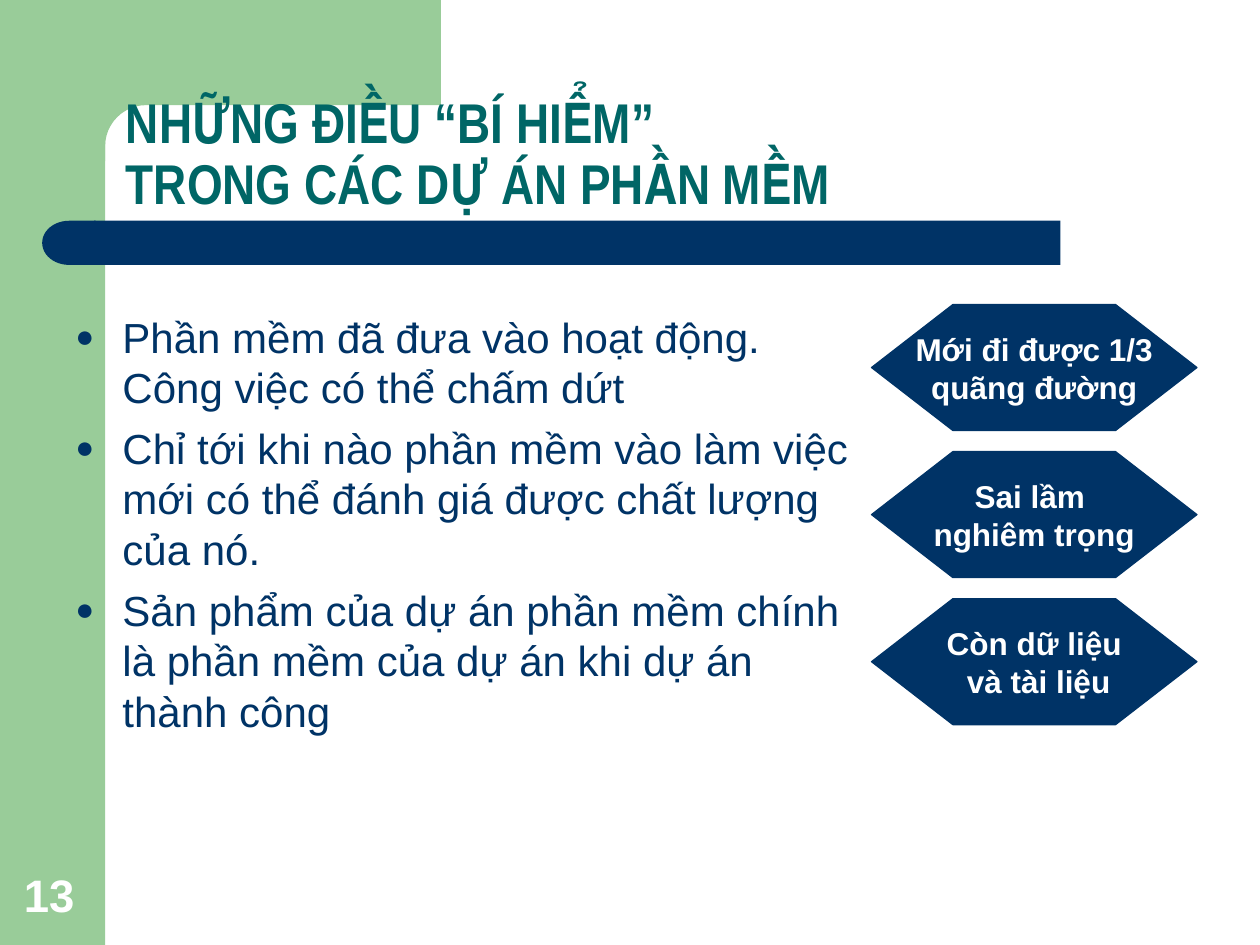
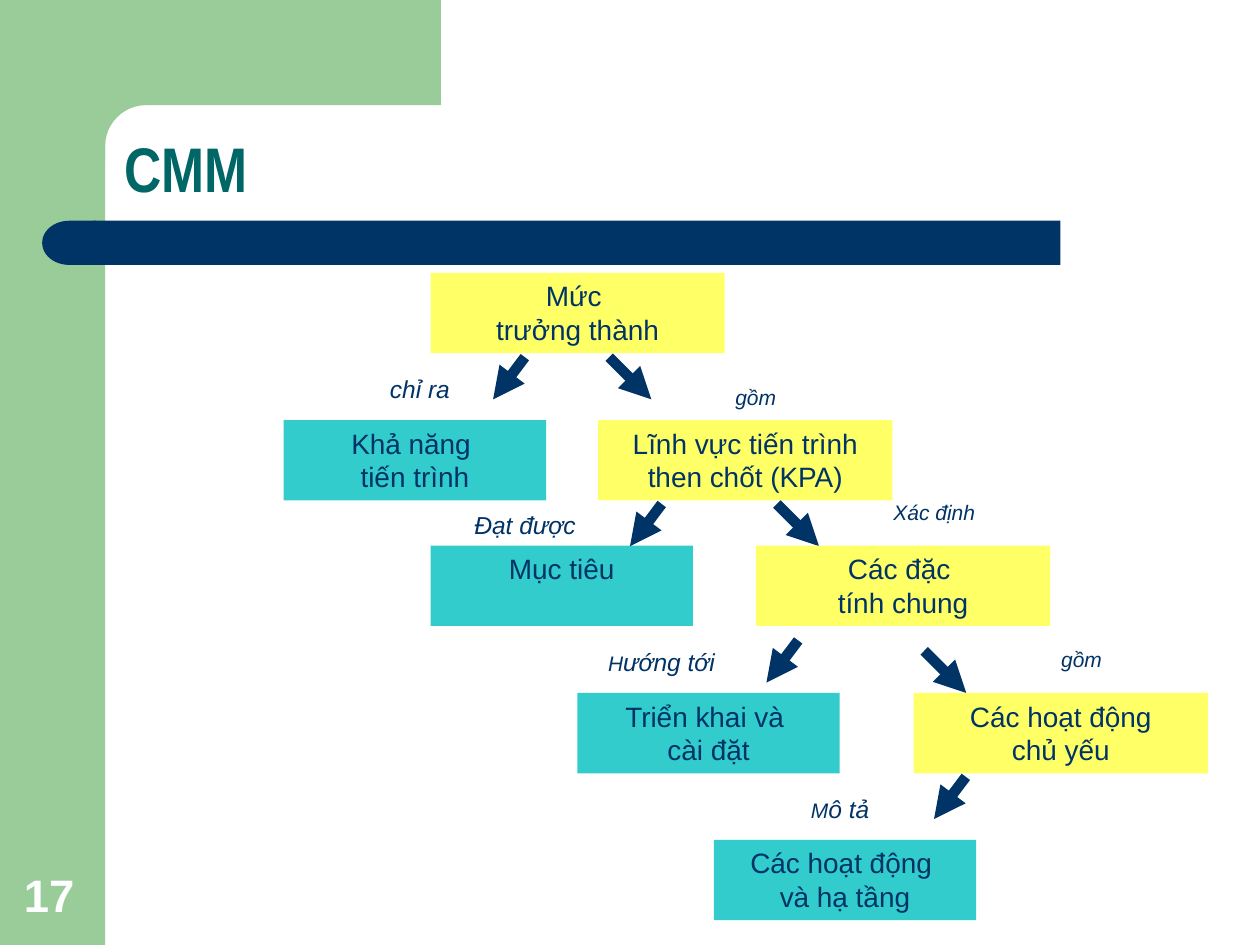
from copy import deepcopy
from math import cos, pi, sin
from typing import NamedTuple

from pptx import Presentation
from pptx.dml.color import RGBColor
from pptx.enum.shapes import MSO_CONNECTOR, MSO_SHAPE
from pptx.enum.text import MSO_ANCHOR, PP_ALIGN
from pptx.oxml.ns import qn
from pptx.util import Cm, Pt
from lxml.etree import SubElement

GREEN, NAVY, TEAL_TITLE = "99CC99", "003366", "006666"
YELLOW, TURQUOISE, WHITE = "FFFF66", "33CCCC", "FFFFFF"


class Box(NamedTuple):
    """Left, top, width and height in centimetres."""
    left: float
    top: float
    width: float
    height: float

    def lengths(self):
        return [Cm(value) for value in self]


class Level(NamedTuple):
    """A yellow stage and the turquoise outcome one row below it."""
    stage: str
    stage_left: float
    outcome: str
    outcome_left: float
    outcome_label: list
    outcome_label_at: tuple
    outcome_arrow_from: tuple
    next_label: str = ""
    next_label_at: tuple = ()
    next_arrow_from: tuple = ()


PAGE = Box(0, 0, 25.4, 19.05)
BAND = Box(0.85, 4.45, 20.53, 0.89)
NUMBER = Box(0.23, 17.35, 1.63, 1.35)

ROW_TOPS = [5.5, 8.47, 11, 13.97, 16.93]
LEVELS = [
    Level("Mức \vtrưởng thành", 8.68, "Khả năng \vtiến trình", 5.72,
          [("chỉ ra", 14)], (6.35, 7.41), (10.58, 7.2),
          "gồm", (13.12, 7.62), (12.28, 7.2)),
    Level("Lĩnh vực tiến trình then chốt (KPA)", 12.06, "Mục tiêu", 8.68,
          [("Đạt được", 14)], (8.47, 10.16), (13.34, 10.16),
          "Xác định", (16.72, 9.95), (15.66, 10.16)),
    Level("Các đặc \vtính chung", 15.24, "Triển khai và \vcài đặt", 11.64,
          [("H", 12), ("ướng tới", 14)], (11.22, 12.91), (16.09, 12.91),
          "gồm", (19.69, 12.91), (18.63, 13.12)),
    Level("Các hoạt động\vchủ yếu", 18.42, "Các hoạt động \vvà hạ tầng", 14.39,
          [("M", 12), ("ô tả", 14)], (14.82, 15.88), (19.47, 15.66)),
]


def color(hex_string):
    return RGBColor.from_string(hex_string)


def format_span(span, size, ink=NAVY, font="Arial", bold=False, italic=False):
    span.font.size = Pt(size)
    span.font.name = font
    span.font.color.rgb = color(ink)
    span.font.bold = bold
    span.font.italic = italic


def write(para, text, size, align=None, line_spacing=None, **style):
    """Fill a paragraph; a vertical tab in the text breaks the line."""
    para.text = text
    if align is not None:
        para.alignment = align
    if line_spacing:
        para.line_spacing = line_spacing
    for span in para.runs:
        format_span(span, size, **style)
    for line_break in para._p.findall(qn("a:br")):
        line_break.append(deepcopy(para.runs[0]._r.rPr))


def add_text_box(page, box, anchor=MSO_ANCHOR.TOP):
    frame = page.shapes.add_textbox(*box.lengths()).text_frame
    frame.word_wrap = True
    frame.vertical_anchor = anchor
    return frame


def paint(shape, fill):
    shape.shadow.inherit = False
    shape.fill.solid()
    shape.fill.fore_color.rgb = color(fill)
    shape.line.fill.background()
    return shape


def add_shape(page, kind, box, fill):
    return paint(page.shapes.add_shape(kind, *box.lengths()), fill)


def add_green_frame(page, box):
    """Draw the side column and the top block with its rounded inner corner."""
    thickness, reach, bottom, radius, seam = 2.12, 8.89, 3.25, 0.83, 1.27
    add_shape(page, MSO_SHAPE.RECTANGLE,
              Box(box.left, box.top, thickness, box.height), GREEN)
    center = thickness + radius
    steps = 12
    angles = [pi / 2 * step / steps for step in range(steps + 1)]
    curve = [(center - radius * sin(angle), center - radius * cos(angle))
             for angle in angles]
    outline = [(reach, 0), (reach, thickness), *curve,
               (thickness, bottom), (seam, bottom), (seam, 0)]
    points = [(Cm(box.left + x), Cm(box.top + y)) for x, y in outline]
    builder = page.shapes.build_freeform(*points[0])
    builder.add_line_segments(points[1:], close=True)
    paint(builder.convert_to_shape(), GREEN)


def add_band(page, box):
    """Draw the bar under the title with its round left end."""
    cap = 1.08
    add_shape(page, MSO_SHAPE.RECTANGLE,
              Box(box.left + cap - 0.03, box.top, box.width - cap + 0.03, box.height), NAVY)
    end = add_shape(page, MSO_SHAPE.FLOWCHART_DELAY,
                    Box(box.left, box.top, cap, box.height), NAVY)
    end.rotation = 180


def add_page(deck, number, title, title_box, title_size):
    page = deck.slides.add_slide(deck.slide_layouts[6])
    add_green_frame(page, PAGE)
    add_band(page, BAND)
    write(add_text_box(page, NUMBER, MSO_ANCHOR.BOTTOM).paragraphs[0],
          str(number), 26, ink=WHITE, bold=True)
    write(add_text_box(page, title_box, MSO_ANCHOR.BOTTOM).paragraphs[0],
          title, title_size, ink=TEAL_TITLE, font="Arial Narrow", bold=True,
          line_spacing=0.9)
    return page


def add_bullet(para):
    indent = Cm(0.95)
    properties = para._p.get_or_add_pPr()
    properties.set("marL", str(indent))
    properties.set("indent", str(-indent))
    bullet_color = SubElement(properties, qn("a:buClr"))
    SubElement(bullet_color, qn("a:srgbClr"), val=NAVY)
    SubElement(properties, qn("a:buSzPct"), val="75000")
    SubElement(properties, qn("a:buFont"), typeface="Arial")
    SubElement(properties, qn("a:buChar"), char="●")


def add_bullet_list(page, box, items):
    frame = add_text_box(page, box)
    for index, item in enumerate(items):
        para = frame.add_paragraph() if index else frame.paragraphs[0]
        add_bullet(para)
        if index:
            para.space_before = Pt(6)
        write(para, item, 24)


def add_verdicts(page, box, verdicts):
    """Stack hexagons at equal steps inside the box."""
    height = 2.54
    step = (box.height - height) / (len(verdicts) - 1)
    for index, verdict in enumerate(verdicts):
        hexagon = add_shape(page, MSO_SHAPE.HEXAGON,
                            Box(box.left, box.top + index * step, box.width, height), NAVY)
        hexagon.adjustments[0] = 0.646
        hexagon.line.color.rgb = color(NAVY)
        hexagon.line.width = Pt(0.75)
        frame = hexagon.text_frame
        frame.word_wrap = False
        frame.vertical_anchor = MSO_ANCHOR.MIDDLE
        write(frame.paragraphs[0], verdict, 18, ink=WHITE, bold=True, align=PP_ALIGN.CENTER)


def add_node(page, box, text, fill):
    frame = add_shape(page, MSO_SHAPE.RECTANGLE, box, fill).text_frame
    frame.word_wrap = True
    frame.vertical_anchor = MSO_ANCHOR.TOP
    write(frame.paragraphs[0], text, 16, align=PP_ALIGN.CENTER)


def add_arrow(page, start, run):
    x, y = start
    arrow = page.shapes.add_connector(
        MSO_CONNECTOR.STRAIGHT, Cm(x), Cm(y), Cm(x + run), Cm(y + 0.85))
    arrow.line.color.rgb = color(NAVY)
    arrow.line.width = Pt(6)
    SubElement(arrow.line._get_or_add_ln(), qn("a:tailEnd"), type="triangle")
    SubElement(arrow._element.spPr, qn("a:effectLst"))


def add_label(page, position, spans):
    para = add_text_box(page, Box(*position, 4.23, 0.85)).paragraphs[0]
    para.alignment = PP_ALIGN.CENTER
    for text, size in spans:
        span = para.add_run()
        span.text = text
        format_span(span, size, italic=True)


def add_level(page, level, top, next_top):
    height = 1.62
    add_node(page, Box(level.stage_left, top, 5.93, height), level.stage, YELLOW)
    add_node(page, Box(level.outcome_left, next_top, 5.29, height), level.outcome, TURQUOISE)
    add_arrow(page, level.outcome_arrow_from, -0.64)
    add_label(page, level.outcome_label_at, level.outcome_label)
    if level.next_label:
        add_arrow(page, level.next_arrow_from, 0.85)
        add_label(page, level.next_label_at, [(level.next_label, 12)])


def add_mysteries_page(deck):
    page = add_page(deck, 13, "NHỮNG ĐIỀU “BÍ HIỂM” \vTRONG CÁC DỰ ÁN PHẦN MỀM",
                    Box(2.29, 2.08, 19.13, 2.41), 32)
    add_bullet_list(page, Box(1.27, 6.15, 16.51, 12.24), [
        "Phần mềm đã đưa vào hoạt động. Công việc có thể chấm dứt",
        "Chỉ tới khi nào phần mềm vào làm việc mới có thể đánh giá được chất lượng của nó.",
        "Sản phẩm của dự án phần mềm chính là phần mềm của dự án khi dự án thành công",
    ])
    add_verdicts(page, Box(17.57, 6.14, 6.56, 8.47), [
        "Mới đi được 1/3\vquãng đường",
        "Sai lầm \vnghiêm trọng",
        "Còn dữ liệu\v và tài liệu",
    ])


def add_cmm_page(deck):
    page = add_page(deck, 17, "CMM", Box(2.26, 2.26, 21.72, 2.03), 36)
    for level, top, next_top in zip(LEVELS, ROW_TOPS, ROW_TOPS[1:]):
        add_level(page, level, top, next_top)


def main():
    deck = Presentation()
    deck.slide_width, deck.slide_height = Cm(PAGE.width), Cm(PAGE.height)
    add_mysteries_page(deck)
    add_cmm_page(deck)
    deck.save("out.pptx")


if __name__ == "__main__":
    main()
